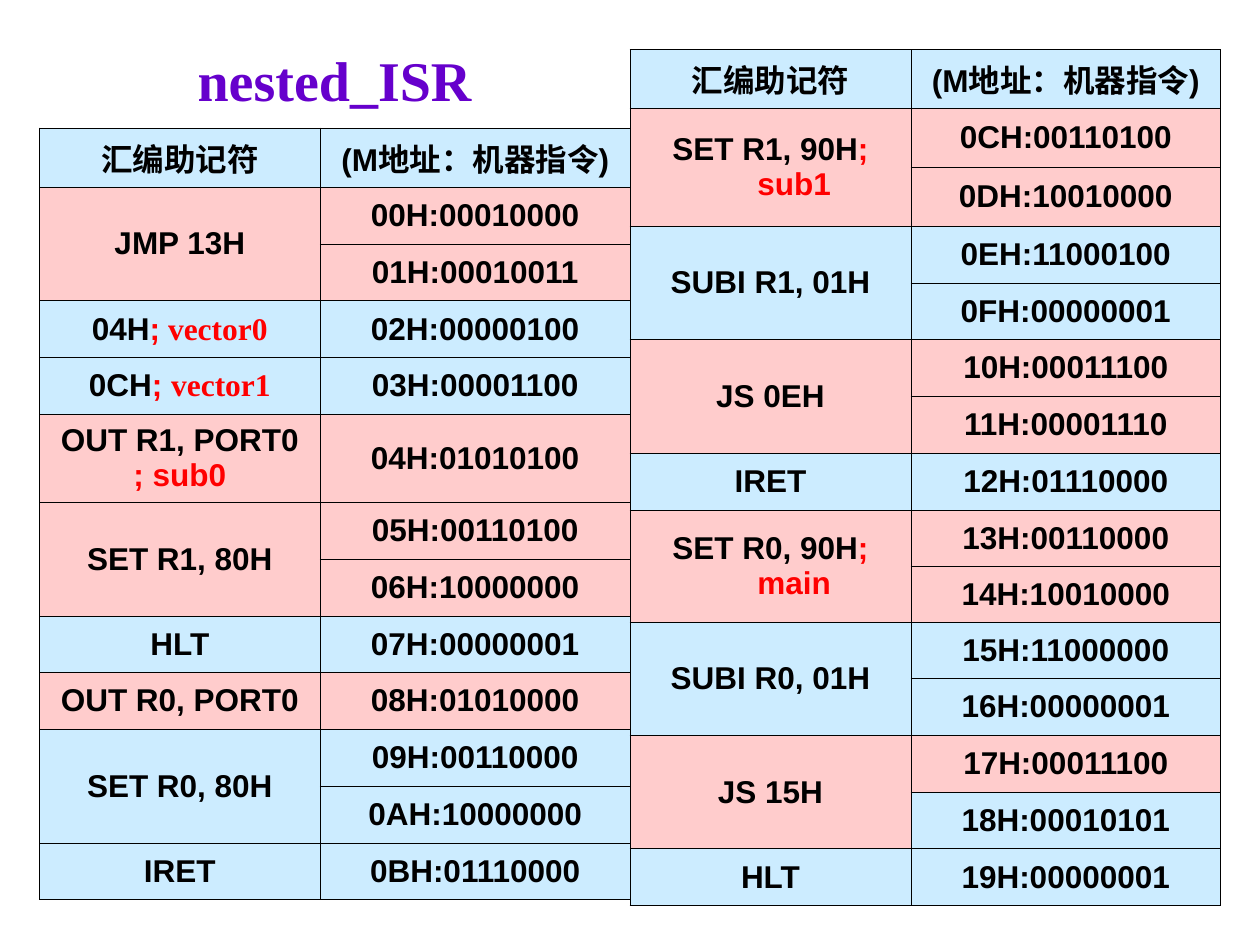
from lxml import etree
from pptx import Presentation
from pptx.dml.color import RGBColor
from pptx.enum.text import MSO_ANCHOR, PP_ALIGN
from pptx.oxml.ns import qn
from pptx.util import Pt

MIDDLE = MSO_ANCHOR.MIDDLE
CENTER = PP_ALIGN.CENTER
SANS, SERIF = "Arial", "Times New Roman"
BLACK, RED, PURPLE = "000000", "FF0000", "6600CC"
BLUE, PINK = "CCECFF", "FFCCCC"
COLUMN_WIDTHS = (160.5, 177)
HEADINGS = ("汇编助记符", "(M地址：机器指令)")
INDENT = 27

# Each instruction: paragraphs of (text, colour, font) spans, fill, (code, fill) bytes.


def plain(text, fill, *codes):
    """Describe an instruction with a one-colour mnemonic."""
    return [[(text, BLACK, SANS)]], fill, [(code, fill) for code in codes]


def noted(text, notes, fill, *codes):
    """Describe an instruction followed by red (text, font) notes."""
    spans = [(text, BLACK, SANS)] + [(note, RED, font) for note, font in notes]
    return [spans], fill, [(code, fill) for code in codes]


LEFT_PROGRAM = [
    plain("JMP 13H", PINK, "00010000", "00010011"),
    noted("04H", [(";", SANS), (" vector0", SERIF)], BLUE, "00000100"),
    noted("0CH", [("; ", SANS), ("vector1", SERIF)], BLUE, "00001100"),
    ([[("OUT R1, PORT0", BLACK, SANS)], [("; sub0", RED, SANS)]],
     PINK, [("01010100", PINK)]),
    plain("SET R1, 80H", PINK, "00110100", "10000000"),
    plain("HLT", BLUE, "00000001"),
    plain("OUT R0, PORT0", PINK, "01010000"),
    plain("SET R0, 80H", BLUE, "00110000", "10000000"),
    plain("IRET", BLUE, "01110000"),
]
RIGHT_PROGRAM = [
    noted("SET R1, 90H", [("; sub1", SANS)], PINK, "00110100", "10010000"),
    plain("SUBI R1, 01H", BLUE, "11000100", "00000001"),
    plain("JS 0EH", PINK, "00011100", "00001110"),
    plain("IRET", BLUE, "01110000"),
    noted("SET R0, 90H", [("; main", SANS)], PINK, "00110000", "10010000"),
    plain("SUBI R0, 01H", BLUE, "11000000", "00000001"),
    ([[("JS 15H", BLACK, SANS)]], PINK, [("00011100", PINK), ("00010101", BLUE)]),
    plain("HLT", BLUE, "00000001"),
]
LEFT_HEIGHTS = [33.8] + [32.45] * 4 + [50.4] + [32.45] * 7
RIGHT_HEIGHTS = [33.7] * 3 + [32.45] * 6 + [32] * 2 + [32.45] * 4


def colour(value):
    """Turn a hex string into a colour."""
    return RGBColor.from_string(value)


def write_paragraph(para, spans, size):
    """Fill a centred bold paragraph with coloured spans."""
    para.alignment = CENTER
    para.font.size = Pt(size)
    para.font.bold = True
    for text, ink, font in spans:
        span = para.add_run()
        span.text = text
        span.font.name = font
        span.font.size = Pt(size)
        span.font.bold = True
        span.font.color.rgb = colour(ink)


def style_cell(cell, fill):
    """Give a cell thin black borders, a fill and middle anchoring."""
    properties = cell._tc.get_or_add_tcPr()
    for side in ("lnL", "lnR", "lnT", "lnB"):
        line = etree.SubElement(properties, qn(f"a:{side}"), w=str(Pt(0.45)))
        solid = etree.SubElement(line, qn("a:solidFill"))
        etree.SubElement(solid, qn("a:srgbClr"), val=BLACK)
    cell.fill.solid()
    cell.fill.fore_color.rgb = colour(fill)
    cell.vertical_anchor = MIDDLE


def write_cell(cell, paragraphs):
    """Write paragraphs with a hanging indent into a cell."""
    frame = cell.text_frame
    for number, spans in enumerate(paragraphs):
        para = frame.add_paragraph() if number else frame.paragraphs[0]
        properties = para._p.get_or_add_pPr()
        properties.set("marL", str(Pt(INDENT)))
        properties.set("indent", str(Pt(-INDENT)))
        write_paragraph(para, spans, 18)


def add_title(page, text, left, top, width, height):
    """Add the centred title."""
    box = page.shapes.add_textbox(Pt(left), Pt(top), Pt(width), Pt(height))
    box.text_frame.word_wrap = True
    box.text_frame.vertical_anchor = MIDDLE
    write_paragraph(box.text_frame.paragraphs[0], [(text, PURPLE, SERIF)], 32)


def add_program(page, program, address, heights, left, top):
    """Add a table of instructions whose bytes start at an address."""
    table = page.shapes.add_table(
        len(heights), len(COLUMN_WIDTHS), Pt(left), Pt(top),
        Pt(sum(COLUMN_WIDTHS)), Pt(sum(heights))).table
    for column, width in zip(table.columns, COLUMN_WIDTHS):
        column.width = Pt(width)
    for row, height in zip(table.rows, heights):
        row.height = Pt(height)
    for index, heading in enumerate(HEADINGS):
        style_cell(table.cell(0, index), BLUE)
        write_cell(table.cell(0, index), [[(heading, BLACK, SANS)]])
    first = 1
    for mnemonic, fill, codes in program:
        for row, (code, code_fill) in enumerate(codes, first):
            style_cell(table.cell(row, 0), fill)
            style_cell(table.cell(row, 1), code_fill)
            text = f"{address:02X}H:{code}"
            write_cell(table.cell(row, 1), [[(text, BLACK, SANS)]])
            address += 1
        if len(codes) > 1:
            table.cell(first, 0).merge(table.cell(first + len(codes) - 1, 0))
        write_cell(table.cell(first, 0), mnemonic)
        first += len(codes)


def main():
    """Build and save the slide."""
    deck = Presentation()
    deck.slide_width, deck.slide_height = Pt(720), Pt(540)
    page = deck.slides.add_slide(deck.slide_layouts[6])
    add_program(page, LEFT_PROGRAM, 0x00, LEFT_HEIGHTS, 22.5, 73.2)
    add_title(page, "nested_ISR", 22.5, 22.5, 337.5, 45)
    add_program(page, RIGHT_PROGRAM, 0x0C, RIGHT_HEIGHTS, 360, 28.2)
    deck.save("out.pptx")


if __name__ == "__main__":
    main()
